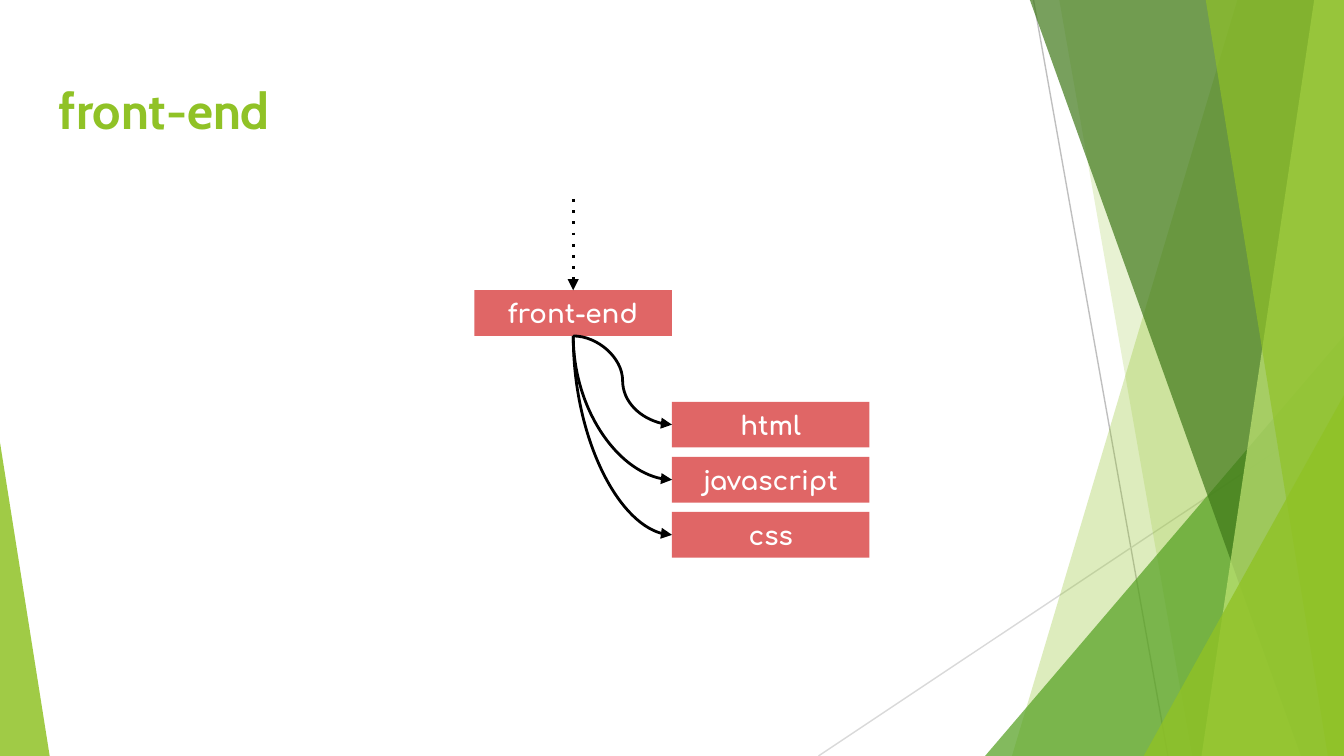
"""Build the front-end technology slide with its green faceted backdrop."""
from lxml import etree
from pptx import Presentation
from pptx.dml.color import RGBColor
from pptx.enum import shapes, text
from pptx.oxml.ns import qn
from pptx.util import Inches, Pt

GREEN = RGBColor(0x90, 0xC2, 0x26)
MID_GREEN = RGBColor(0x54, 0xA0, 0x21)
DARK_GREEN = RGBColor(0x3F, 0x78, 0x19)
PALE_GREEN = RGBColor(0xC0, 0xE4, 0x74)
GREY = RGBColor(0xBF, 0xBF, 0xBF)
LIGHT_GREY = RGBColor(0xD9, 0xD9, 0xD9)
RED = RGBColor(0xE0, 0x66, 0x66)
BLACK = RGBColor(0, 0, 0)
WHITE = RGBColor(0xFF, 0xFF, 0xFF)

WIDTH = 10
HEIGHT = WIDTH * 9 / 16
TITLE = "front-end"
ROOT = "front-end"
CHILDREN = ["html", "javascript", "css"]
RAYS = [((7.69, 0), (8.69, HEIGHT), GREY), ((WIDTH, 3.02), (6.09, HEIGHT), LIGHT_GREY)]
FACETS = [
    ("band", 9.21, 7.53, GREEN, 30),
    ("band", 7.88, 8.87, GREEN, 20),
    ("triangle", (7.33, 2.5, 2.67), 1, MID_GREEN, 72),
    ("band", 7.66, 9.68, DARK_GREEN, 70),
    ("band", 9.78, 8.94, PALE_GREEN, 70),
    ("band", 8.97, 9.88, GREEN, 65),
    ("triangle", (8.51, 2.94, 1.49), 1, GREEN, 80),
    ("triangle", (0, 3.29, 0.37), 0, GREEN, 85),
]
BAND_TOP = -0.01
BOX_W, BOX_H = 1.47, 0.34
ROOT_LEFT, ROOT_TOP = 3.53, 2.16
CHILD_LEFT, CHILD_TOP, CHILD_STEP = 5, 2.99, 0.41
ENTRY_TOP = 1.48

deck = Presentation()
deck.slide_width, deck.slide_height = Inches(WIDTH), Inches(HEIGHT)
slide = deck.slides.add_slide(deck.slide_layouts[6])


def paint(shape, color, opacity=100):
    shape.shadow.inherit = False
    shape.fill.solid()
    shape.fill.fore_color.rgb = color
    shape.line.fill.background()
    if opacity < 100:
        tint = shape.fill._xPr.find(".//" + qn("a:srgbClr"))
        etree.SubElement(tint, qn("a:alpha"), val=str(opacity * 1000))


def write(shape, words, size, font, color, align, anchor):
    frame = shape.text_frame
    frame.word_wrap = True
    frame.vertical_anchor = anchor
    frame.margin_left = frame.margin_right = Inches(0.1)
    frame.margin_top = frame.margin_bottom = Inches(0.1)
    paragraph = frame.paragraphs[0]
    paragraph.alignment = align
    run = paragraph.add_run()
    run.text = words
    run.font.size, run.font.name, run.font.bold = Pt(size), font, True
    run.font.color.rgb = color


def connect(start, end, color, width, kind=shapes.MSO_CONNECTOR.STRAIGHT, dash=None, arrow=False):
    link = slide.shapes.add_connector(kind, *map(Inches, start + end))
    link.line.color.rgb = color
    link.line.width = Pt(width)
    outline = link.line._get_or_add_ln()
    if dash:
        etree.SubElement(outline, qn("a:prstDash"), val=dash)
    if arrow:
        etree.SubElement(outline, qn("a:tailEnd"), type="triangle")
    etree.SubElement(link._element.spPr, qn("a:effectLst"))
    return link


def draw_band(top_x, bottom_x):
    corners = [(top_x, BAND_TOP), (WIDTH, BAND_TOP), (WIDTH, HEIGHT), (bottom_x, HEIGHT)]
    points = [(Inches(x), Inches(y)) for x, y in corners]
    outline = slide.shapes.build_freeform(*points[0])
    outline.add_line_segments(points[1:], close=True)
    return outline.convert_to_shape()


def draw_triangle(place, apex):
    left, top, width = place
    triangle = slide.shapes.add_shape(
        shapes.MSO_SHAPE.ISOSCELES_TRIANGLE, *map(Inches, (left, top, width, HEIGHT - top)))
    triangle.adjustments[0] = apex
    return triangle


def add_box(words, left, top):
    box = slide.shapes.add_shape(
        shapes.MSO_SHAPE.RECTANGLE, *map(Inches, (left, top, BOX_W, BOX_H)))
    paint(box, RED)
    write(box, words, 14, "Comfortaa", WHITE, text.PP_ALIGN.CENTER, text.MSO_ANCHOR.MIDDLE)
    return box


def add_quarter_curve(start, end):
    (x1, y1), (x2, y2) = start, end
    run, drop = x2 - x1, y2 - y1
    mid_x, mid_y = (x1 + x2) / 2, (y1 + y2) / 2
    curve = connect((mid_x + drop / 2, mid_y - run / 2), (mid_x - drop / 2, mid_y + run / 2),
                    BLACK, 1.5, shapes.MSO_CONNECTOR.CURVE, arrow=True)
    properties = curve._element.spPr
    properties.find(qn("a:xfrm")).set("rot", str(270 * 60000))
    properties.find(qn("a:prstGeom")).set("prst", "curvedConnector2")


for start, end, color in RAYS:
    connect(start, end, color, 0.75)
for kind, first, second, color, opacity in FACETS:
    draw = draw_band if kind == "band" else draw_triangle
    paint(draw(first, second), color, opacity)

title = slide.shapes.add_textbox(*map(Inches, (0.34, 0.49, 9.32, 0.63)))
write(title, TITLE, 27, "Cabin", GREEN, text.PP_ALIGN.LEFT, text.MSO_ANCHOR.TOP)

root = add_box(ROOT, ROOT_LEFT, ROOT_TOP)
root_x = ROOT_LEFT + BOX_W / 2
entry = connect((root_x, ENTRY_TOP), (root_x, ROOT_TOP), BLACK, 1.5, dash="dot", arrow=True)
entry.end_connect(root, 0)

exit_point = (root_x, ROOT_TOP + BOX_H)
for index, child in enumerate(CHILDREN):
    child_top = CHILD_TOP + index * CHILD_STEP
    add_box(child, CHILD_LEFT, child_top)
    target = (CHILD_LEFT, child_top + BOX_H / 2)
    if index == 0:
        connect(exit_point, target, BLACK, 1.5, shapes.MSO_CONNECTOR.CURVE, arrow=True)
    else:
        add_quarter_curve(exit_point, target)

deck.save("out.pptx")
